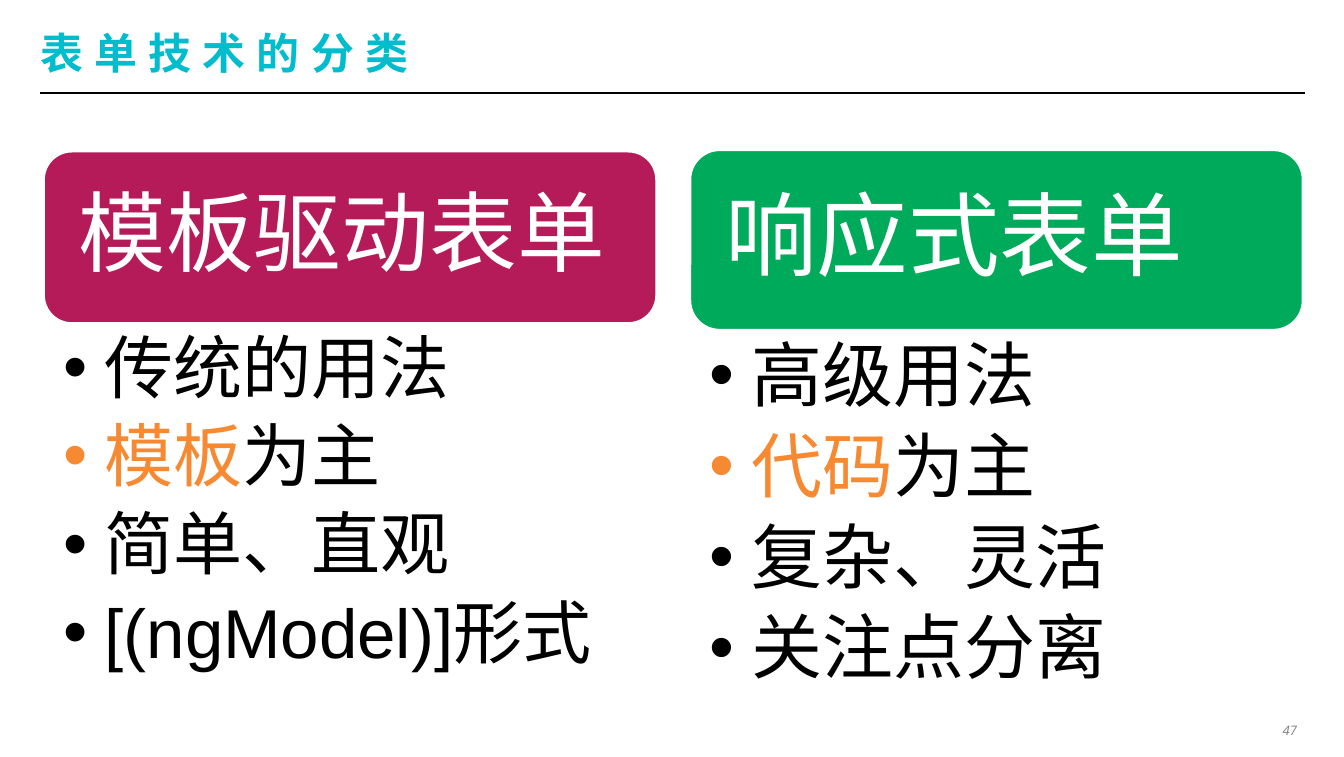
from pptx import Presentation
from pptx.dml.color import RGBColor
from pptx.enum.shapes import MSO_CONNECTOR as Link, MSO_SHAPE as Shape
from pptx.enum.text import MSO_ANCHOR as Anchor, PP_ALIGN as Align
from pptx.oxml.ns import qn
from pptx.util import Inches, Pt
from lxml.etree import SubElement

WIDE, HIGH = 10, 5.63
LEFT, RIGHT = 0.3, 9.71
CARD, STEP = 4.57, 4.81
ACCENT = "F58A33"
FORMS = [
    dict(head="模板驱动表单", fill="B51B58", top=1.12, tall=1.29, big=47, size=37,
         rows=[("", "传统的用法"), ("模板", "为主"),
               ("", "简单、直观"), ("", "[(ngModel)]形式")]),
    dict(head="响应式表单", fill="00AA5B", top=1.11, tall=1.35, big=49, size=38,
         rows=[("", "高级用法"), ("代码", "为主"),
               ("", "复杂、灵活"), ("", "关注点分离")]),
]


def tint(text):
    return RGBColor.from_string(text)


def put(obj, **vals):
    for name, val in vals.items():
        setattr(obj, name, val)


def frame(slide, box, pads, anchor=Anchor.TOP):
    """Add a text box and return its text frame."""
    text = slide.shapes.add_textbox(*map(Inches, box)).text_frame
    sides = ("margin_left", "margin_top", "margin_right", "margin_bottom")
    put(text, word_wrap=True, vertical_anchor=anchor,
        **dict(zip(sides, map(Inches, pads))))
    return text


def write(para, text, size, color, face="Arial", **style):
    run = para.add_run()
    run.text = text
    put(run.font, size=Pt(size), name=face, **style)
    run.font.color.rgb = tint(color)
    return run


def bullet(para, indent):
    props = para._p.get_or_add_pPr()
    props.set("marL", str(Inches(indent)))
    props.set("indent", str(-Inches(indent)))
    SubElement(props, qn("a:buFont")).set("typeface", "Arial")
    SubElement(props, qn("a:buChar")).set("char", "•")


def header(slide, box, text):
    left, top, wide, tall = box
    para = frame(slide, (left, top, wide, tall * 0.82), (0,) * 4,
                 Anchor.MIDDLE).paragraphs[0]
    face = "Noto Sans CJK JP"
    props = write(para, text, 23, "00BCCD", face, bold=True).font._element
    props.set("spc", "600")
    SubElement(props, qn("a:ea")).set("typeface", face)
    ends = (left, top + tall, left + wide, top + tall)
    rule = slide.shapes.add_connector(Link.STRAIGHT, *map(Inches, ends))
    rule.line.width = Pt(1)
    rule.line.color.rgb = tint("000000")
    SubElement(rule._element.spPr, qn("a:effectLst"))


def card(slide, box, form):
    """Place a coloured heading with its bullet list below."""
    left, top, wide, high = box
    tall, size = form["tall"], form["size"]
    tile = slide.shapes.add_shape(Shape.ROUNDED_RECTANGLE,
                                  *map(Inches, (left, top, wide, tall)))
    tile.shadow.inherit = False
    tile.fill.solid()
    tile.fill.fore_color.rgb = tint(form["fill"])
    tile.line.color.rgb = tint("FFFFFF")
    tile.line.width = Pt(2)

    gap = tall * 0.05
    inner = (left + gap, top + gap, wide - 2 * gap, tall - 2 * gap)
    para = frame(slide, inner, (0.2,) * 4, Anchor.MIDDLE).paragraphs[0]
    para.line_spacing = 0.9
    write(para, form["head"], form["big"], "FFFFFF")

    text = frame(slide, (left, top + tall, wide, high - tall),
                 (0.15, 0.07) * 2)
    for i, (key, rest) in enumerate(form["rows"]):
        para = text.add_paragraph() if i else text.paragraphs[0]
        bullet(para, 0.31)
        put(para, line_spacing=0.9, space_after=Pt(size * 0.2))
        if key:
            write(para, key, size, ACCENT)
        write(para, rest, size, "000000")


def footer(slide, box, text):
    para = frame(slide, box, (0.06, 0.03) * 2).paragraphs[0]
    para.alignment = Align.RIGHT
    write(para, text, 7, "808184", "Open Sans", italic=True)


def main():
    deck = Presentation()
    put(deck, slide_width=Inches(WIDE), slide_height=Inches(HIGH))
    slide = deck.slides.add_slide(deck.slide_layouts[6])
    header(slide, (LEFT, 0.18, RIGHT - LEFT, 0.51), "表单技术的分类")
    for col, form in enumerate(FORMS):
        box = (0.32 + col * STEP, form["top"], CARD, form["tall"] + 3)
        card(slide, box, form)
    footer(slide, (RIGHT - 0.4, 5.34, 0.4, 0.17), "47")
    deck.save("out.pptx")


if __name__ == "__main__":
    main()
